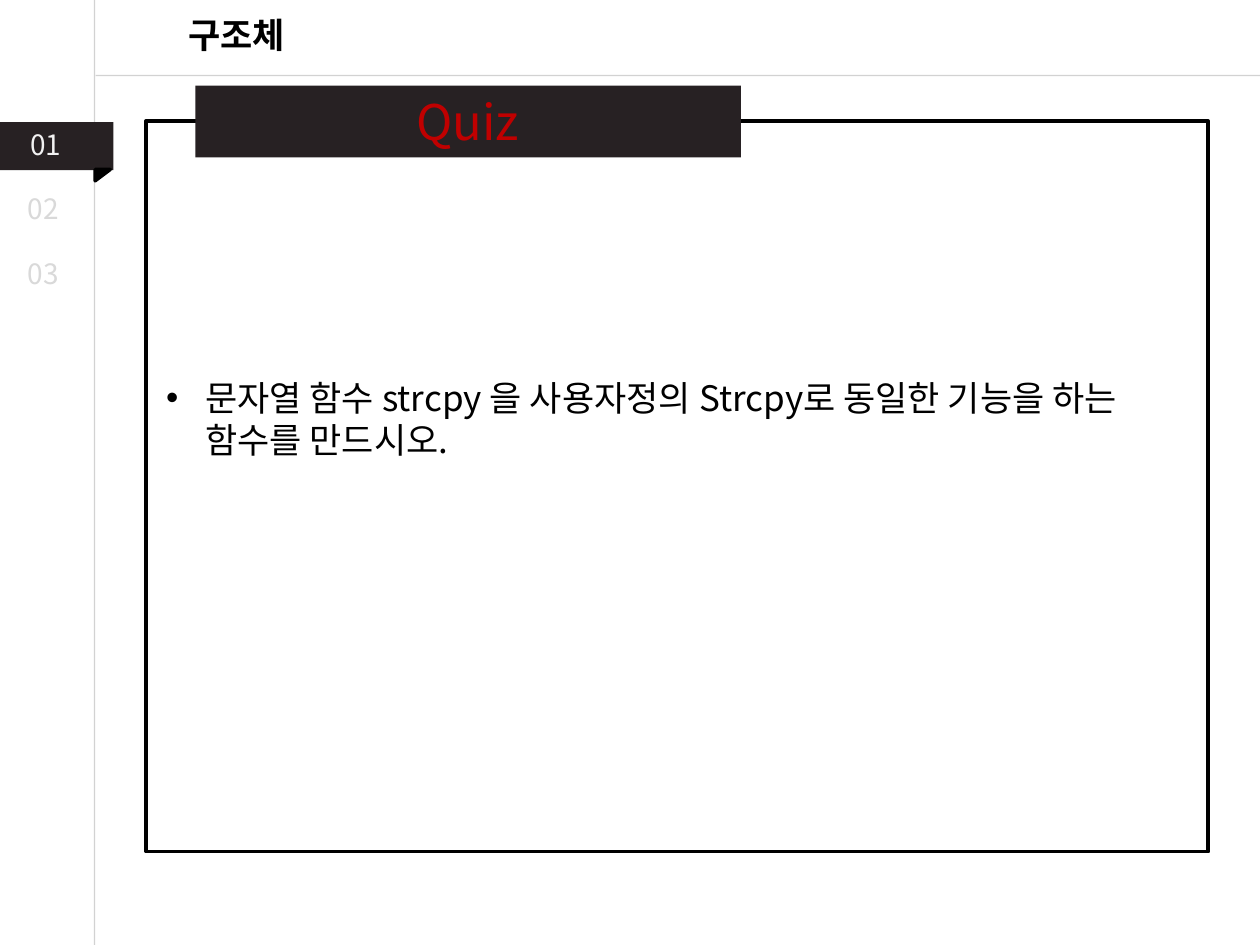
from pptx import Presentation
from pptx.dml.color import RGBColor
from pptx.enum.shapes import MSO_CONNECTOR, MSO_SHAPE
from pptx.enum.text import MSO_AUTO_SIZE, PP_ALIGN
from pptx.oxml.ns import qn
from pptx.util import Inches, Pt
from lxml import etree

RECT, TRIANGLE = MSO_SHAPE.RECTANGLE, MSO_SHAPE.RIGHT_TRIANGLE
STRAIGHT = MSO_CONNECTOR.STRAIGHT
LEFT, CENTER = PP_ALIGN.LEFT, PP_ALIGN.CENTER
GROW = MSO_AUTO_SIZE.SHAPE_TO_FIT_TEXT
DARK, BLACK, RULE = "272123", "000000", "A6A6A6"
ACTIVE, MUTED, RED = "F2F2F2", "D9D9D9", "C00000"


def rgb(value):
    return RGBColor.from_string(value)


class Deck:
    font = "Noto Sans CJK KR"

    def __init__(self, width, height):
        self.prs = Presentation()
        self.prs.slide_width, self.prs.slide_height = Inches(width), Inches(height)
        self.s = self.prs.slides.add_slide(self.prs.slide_layouts[6])

    def rule(self, x1, y1, x2, y2):
        sp = self.s.shapes.add_connector(
            STRAIGHT, Inches(x1), Inches(y1), Inches(x2), Inches(y2))
        sp.line.color.rgb = rgb(RULE)
        sp.line.width = Pt(0.75)
        color = sp.line.fill._xPr.find(".//" + qn("a:srgbClr"))
        etree.SubElement(color, qn("a:alpha"), val="50000")
        etree.SubElement(sp._element.spPr, qn("a:effectLst"))

    def shape(self, kind, x, y, w, h, fill=None, line=None, rotation=0):
        sp = self.s.shapes.add_shape(kind, Inches(x), Inches(y), Inches(w), Inches(h))
        sp.shadow.inherit = False
        sp.rotation = rotation
        if fill:
            sp.fill.solid()
            sp.fill.fore_color.rgb = rgb(fill)
        else:
            sp.fill.background()
        if line:
            sp.line.color.rgb = rgb(line)
            sp.line.width = Pt(2)
        else:
            sp.line.fill.background()

    def text(self, x, y, w, h, words, size, color, align=LEFT, bold=False, bullet=False):
        sp = self.s.shapes.add_textbox(Inches(x), Inches(y), Inches(w), Inches(h))
        tf = sp.text_frame
        tf.word_wrap = True
        tf.auto_size = GROW
        p = tf.paragraphs[0]
        p.alignment = align
        if bullet:
            pPr = p._p.get_or_add_pPr()
            pPr.set("marL", str(Inches(0.31)))
            pPr.set("indent", str(-Inches(0.31)))
            etree.SubElement(pPr, qn("a:buFont"), typeface="Arial")
            etree.SubElement(pPr, qn("a:buChar"), char="•")
        r = p.add_run()
        r.text = words
        r.font.name = self.font
        r.font.size = Pt(size)
        r.font.bold = bold
        r.font.color.rgb = rgb(color)
        etree.SubElement(r._r.get_or_add_rPr(), qn("a:ea"), typeface=self.font)


deck = Deck(10, 7.5)
deck.rule(0.75, 0, 0.75, 7.5)
deck.rule(0.76, 0.6, 10, 0.6)

deck.shape(RECT, 0, 0.97, 0.9, 0.38, fill=DARK)
deck.shape(TRIANGLE, 0.77, 1.33, 0.09, 0.12, fill=BLACK, line=BLACK, rotation=90)
deck.text(0.14, 0.96, 0.59, 0.37, "01", 16, ACTIVE)
for i, number in enumerate(["02", "03"]):
    deck.text(0.12, 1.47 + 0.52 * i, 0.49, 0.37, number, 16, MUTED)

deck.shape(RECT, 1.16, 0.96, 8.43, 5.8, line=BLACK)
deck.shape(RECT, 1.55, 0.68, 4.33, 0.57, fill=DARK)
deck.text(1.16, 0.68, 5.1, 0.57, "Quiz", 28, RED, align=CENTER)
deck.text(1.22, 2.94, 8.36, 0.77,
          "문자열 함수 strcpy 을 사용자정의 Strcpy로 동일한 기능을 하는 함수를 만드시오.",
          20, BLACK, bullet=True)
deck.text(0.81, 0.06, 2.14, 0.44, "구조체", 20, BLACK, align=CENTER, bold=True)

deck.prs.save("out.pptx")
